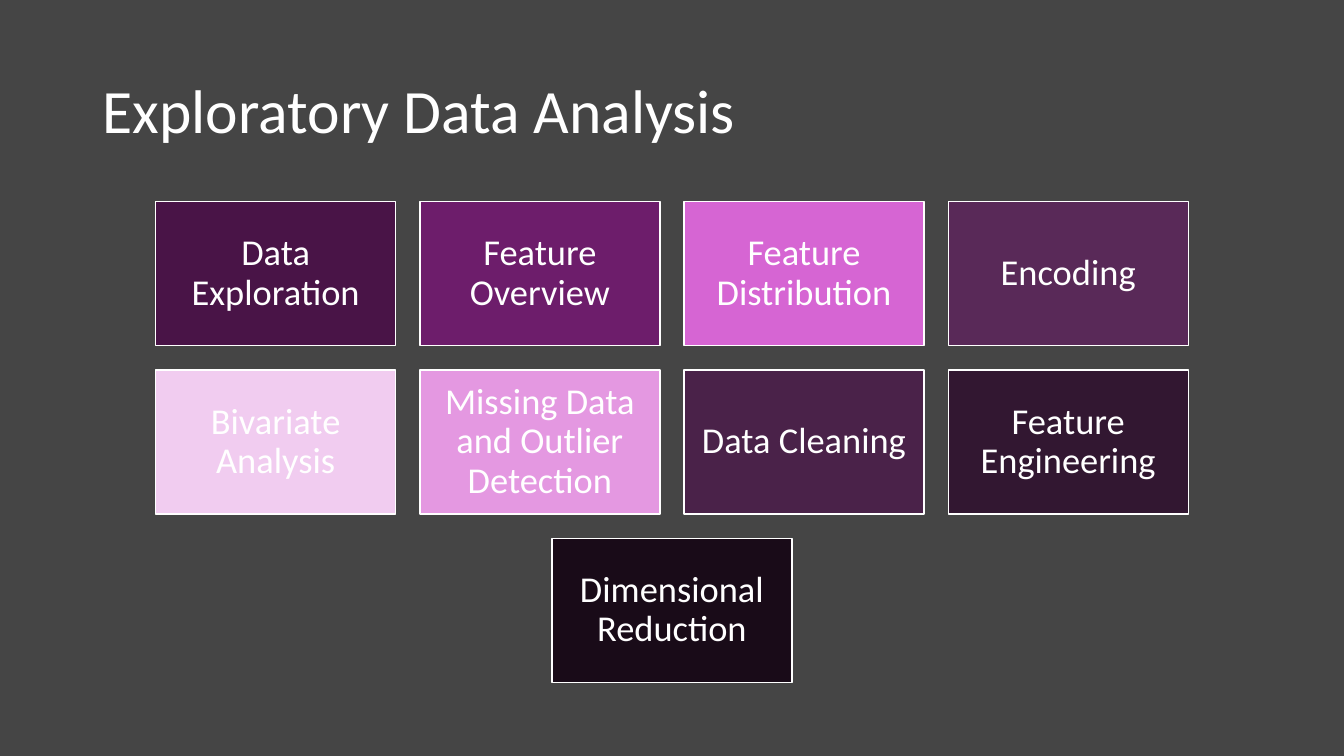
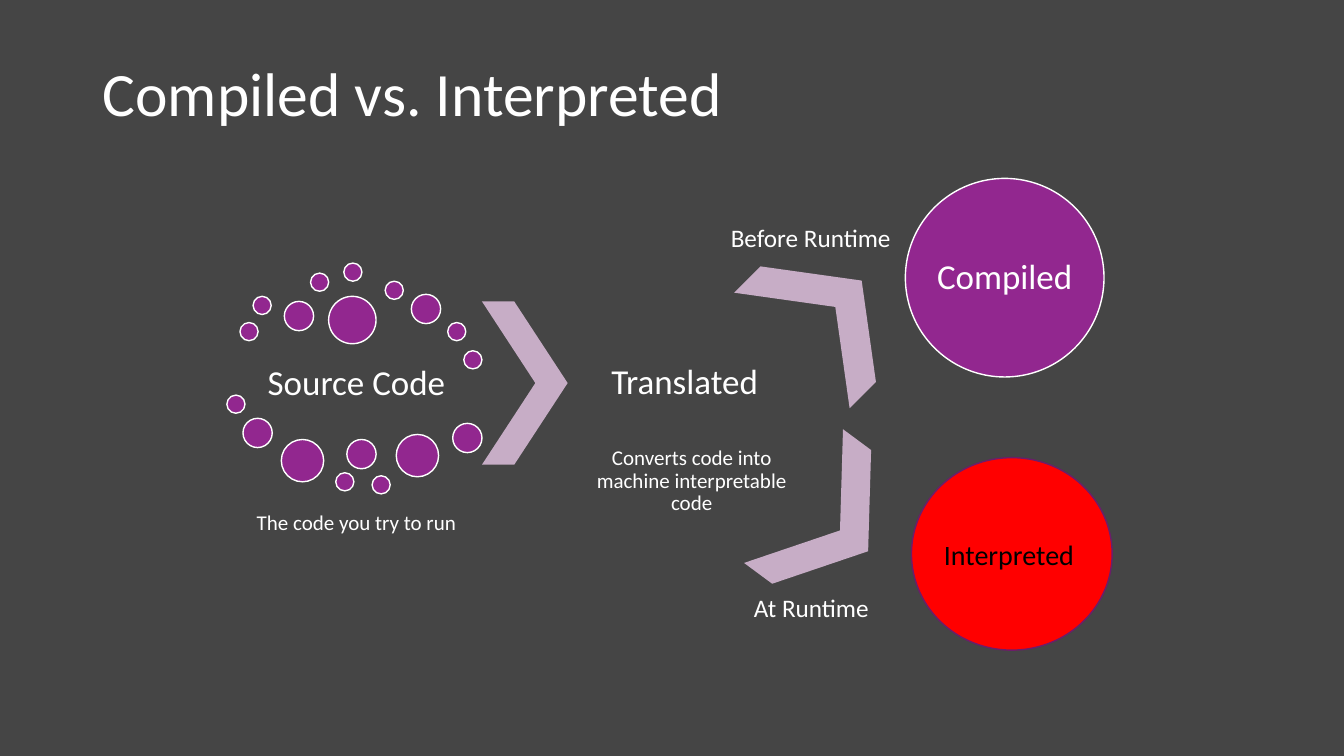
from dataclasses import dataclass

from pptx import Presentation
from pptx.dml.color import RGBColor
from pptx.enum.shapes import MSO_SHAPE as Preset
from pptx.enum.text import MSO_ANCHOR as Anchor, PP_ALIGN as Align
from pptx.shapes.autoshape import Shape
from pptx.slide import Slide
from pptx.util import Inches, Pt

COLORS = {
    "background": "454545",
    "white": "FFFFFF",
    "black": "000000",
    "purple": "92278F",
    "plum": "6C1D6A",
    "mauve": "C7ADC6",
    "red": "FF0000",
}
FONT = "Calibri"
SLIDE_WIDTH, SLIDE_HEIGHT = 13.33, 7.5


@dataclass(frozen=True)
class Box:
    left: float
    top: float
    width: float
    height: float


@dataclass(frozen=True)
class Step:
    name: str
    fill: str


@dataclass(frozen=True)
class Label:
    text: str
    box: Box
    size: int
    align: Align = Align.CENTER
    anchor: Anchor = Anchor.MIDDLE
    inset: float = 0.03
    spacing: float = 0.9


@dataclass(frozen=True)
class Chevron:
    box: Box
    rotation: float = 0


@dataclass(frozen=True)
class Outcome:
    label: Label
    fill: str
    line: str
    color: str


STEP_WIDTH, STEP_HEIGHT, STEP_GAP = 2.38, 1.43, 0.24
STEPS_TOP = 2
STEP_ROWS = [
    [
        Step("Data Exploration", "491447"),
        Step("Feature Overview", "6D1D6B"),
        Step("Feature Distribution", "D665D3"),
        Step("Encoding", "592958"),
    ],
    [
        Step("Bivariate Analysis", "F1CCF0"),
        Step("Missing Data and Outlier Detection", "E498E1"),
        Step("Data Cleaning", "4A2249"),
        Step("Feature Engineering", "321731"),
    ],
    [Step("Dimensional Reduction", "190B18")],
]

DOTS_BY_DIAMETER = {
    0.18: [
        (2.38, 3.2), (2.51, 2.94), (3.08, 2.71), (3.41, 2.61), (3.82, 2.79), (4.44, 3.2),
        (4.6, 3.48), (2.25, 3.92), (3.33, 4.69), (3.69, 4.72),
    ],
    0.29: [(2.82, 2.99), (4.08, 2.92), (2.41, 4.15), (3.44, 4.36), (4.49, 4.2)],
    0.42: [(2.79, 4.36), (3.93, 4.31)],
    0.47: [(3.26, 2.94)],
}

CHEVRONS = [
    Chevron(Box(4.78, 2.99, 0.85, 1.62)),
    Chevron(Box(7.71, 2.32, 0.98, 1.62), 315),
    Chevron(Box(7.78, 4.37, 0.92, 1.65), 36.5),
]

FLOW_LABELS = [
    Label("Source Code", Box(2.38, 3.43, 2.31, 0.76), 25),
    Label("The code you try to run", Box(2.38, 4.48, 2.31, 1.43), 15),
    Label("Translated", Box(5.63, 2.99, 2.32, 1.62), 25),
    Label("Converts code into machine interpretable code", Box(5.7, 4.06, 2.32, 1.43), 15),
    Label("Before Runtime", Box(7.15, 2.16, 2.34, 0.4), 18, Align.LEFT, Anchor.TOP, 0.1, 1),
    Label("At Runtime", Box(7.38, 5.83, 2.34, 0.4), 18, Align.LEFT, Anchor.TOP, 0.1, 1),
]

OUTCOMES = [
    Outcome(Label("Compiled", Box(8.98, 1.77, 1.97, 1.97), 25, inset=0),
            COLORS["purple"], COLORS["white"], COLORS["white"]),
    Outcome(Label("Interpreted", Box(9.04, 4.54, 1.99, 1.91), 20, Align.LEFT, spacing=1),
            COLORS["red"], COLORS["plum"], COLORS["black"]),
]


def rgb(color: str) -> RGBColor:
    return RGBColor.from_string(color)


def place(box: Box) -> tuple[int, int, int, int]:
    return Inches(box.left), Inches(box.top), Inches(box.width), Inches(box.height)


def write(target: Shape, label: Label, color: str = COLORS["white"]) -> None:
    frame = target.text_frame
    frame.word_wrap = True
    frame.vertical_anchor = label.anchor
    frame.margin_left = frame.margin_right = Inches(label.inset)
    frame.margin_top = frame.margin_bottom = Inches(min(label.inset, 0.05))
    frame.text = label.text
    paragraph = frame.paragraphs[0]
    paragraph.alignment = label.align
    paragraph.line_spacing = label.spacing
    font = paragraph.runs[0].font
    font.name = FONT
    font.size = Pt(label.size)
    font.color.rgb = rgb(color)


def add_label(slide: Slide, label: Label) -> None:
    write(slide.shapes.add_textbox(*place(label.box)), label)


def add_figure(slide: Slide, preset: Preset, box: Box, fill: str, line: str | None = None) -> Shape:
    figure = slide.shapes.add_shape(preset, *place(box))
    figure.shadow.inherit = False
    figure.fill.solid()
    figure.fill.fore_color.rgb = rgb(fill)
    if line:
        figure.line.color.rgb = rgb(line)
        figure.line.width = Pt(1)
    else:
        figure.line.fill.background()
    return figure


def add_titled_slide(deck: Presentation, title: str, title_top: float) -> Slide:
    slide = deck.slides.add_slide(deck.slide_layouts[6])
    slide.background.fill.solid()
    slide.background.fill.fore_color.rgb = rgb(COLORS["background"])
    add_label(slide, Label(title, Box(0.92, title_top, 11.5, 1.45), 44, Align.LEFT, inset=0.1))
    return slide


def build_analysis(deck: Presentation) -> None:
    slide = add_titled_slide(deck, "Exploratory Data Analysis", 0.4)
    for row, steps in enumerate(STEP_ROWS):
        row_width = len(steps) * (STEP_WIDTH + STEP_GAP) - STEP_GAP
        row_left = (SLIDE_WIDTH - row_width) / 2
        top = STEPS_TOP + row * (STEP_HEIGHT + STEP_GAP)
        for column, step in enumerate(steps):
            left = row_left + column * (STEP_WIDTH + STEP_GAP)
            box = Box(left, top, STEP_WIDTH, STEP_HEIGHT)
            card = add_figure(slide, Preset.RECTANGLE, box, step.fill, COLORS["white"])
            write(card, Label(step.name, box, 26, inset=0.11))


def build_comparison(deck: Presentation) -> None:
    slide = add_titled_slide(deck, "Compiled vs. Interpreted", 0.23)
    for diameter, corners in DOTS_BY_DIAMETER.items():
        for left, top in corners:
            dot = Box(left, top, diameter, diameter)
            add_figure(slide, Preset.OVAL, dot, COLORS["purple"], COLORS["white"])
    for chevron in CHEVRONS:
        arrow = add_figure(slide, Preset.CHEVRON, chevron.box, COLORS["mauve"])
        arrow.adjustments[0] = 0.623
        arrow.rotation = chevron.rotation
    for outcome in OUTCOMES:
        circle = add_figure(slide, Preset.OVAL, outcome.label.box, outcome.fill, outcome.line)
        write(circle, outcome.label, outcome.color)
    for label in FLOW_LABELS:
        add_label(slide, label)


def main() -> None:
    deck = Presentation()
    deck.slide_width = Inches(SLIDE_WIDTH)
    deck.slide_height = Inches(SLIDE_HEIGHT)
    build_analysis(deck)
    build_comparison(deck)
    deck.save("out.pptx")


if __name__ == "__main__":
    main()
